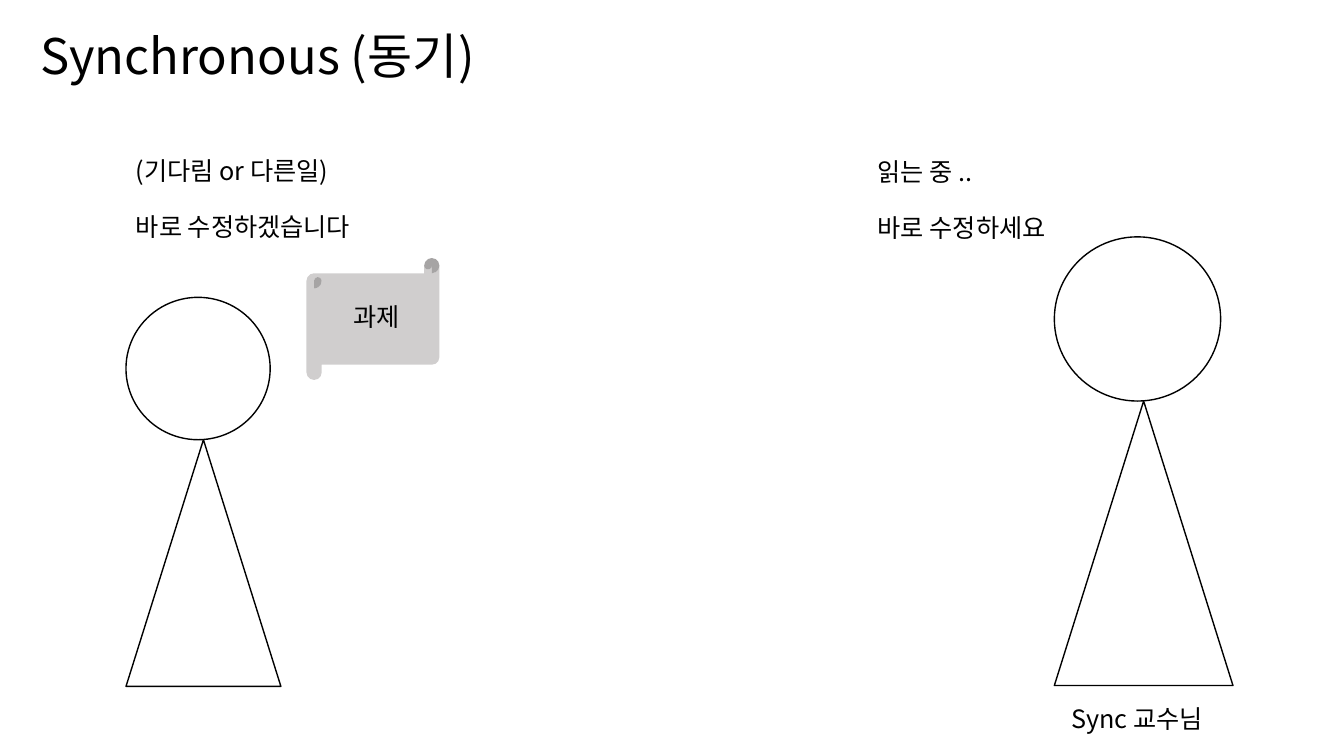
from pptx import Presentation
from pptx.dml.color import RGBColor
from pptx.enum.shapes import MSO_SHAPE as Shape
from pptx.enum.text import MSO_ANCHOR as Anchor, MSO_AUTO_SIZE as AutoSize, PP_ALIGN as Align
from pptx.oxml.ns import qn
from pptx.util import Pt

COLORS = {"ink": "000000", "paper": "FFFFFF", "scroll": "D0CECE"}


class Board:
    """Style and current slide."""

    font = "Noto Sans CJK KR"
    size = 18
    line_spacing = 0.84
    paragraph_gap = 21.8

    def __init__(self, slide):
        self.slide = slide

    def color(self, name):
        return RGBColor.from_string(COLORS[name])

    def set_lines(self, frame, lines, size, align=Align.LEFT):
        frame.text = "\n".join(lines)
        for index, paragraph in enumerate(frame.paragraphs):
            paragraph.alignment = align
            paragraph.line_spacing = self.line_spacing
            if index:
                paragraph.space_before = Pt(self.paragraph_gap)
            for run in paragraph.runs:
                run.font.size = Pt(size)
                run.font.name = self.font
                run.font.color.rgb = self.color("ink")
                # Hangul takes the East Asian typeface
                east_asian = run.font._element.makeelement(qn("a:ea"), {"typeface": self.font})
                run.font._element.find(qn("a:latin")).addnext(east_asian)

    def text(self, left, top, width, height, *lines, size=size):
        frame = self.slide.shapes.add_textbox(Pt(left), Pt(top), Pt(width), Pt(height)).text_frame
        frame.word_wrap = True
        frame.auto_size = AutoSize.SHAPE_TO_FIT_TEXT
        self.set_lines(frame, lines, size)

    def shape(self, shapes, kind, left, top, width, height, fill, line=None):
        shape = shapes.add_shape(kind, Pt(left), Pt(top), Pt(width), Pt(height))
        shape.shadow.inherit = False
        shape.fill.solid()
        shape.fill.fore_color.rgb = self.color(fill)
        if line:
            shape.line.color.rgb = self.color(line)
            shape.line.width = Pt(1)
        else:
            shape.line.fill.background()
        return shape

    def person(self, left, top, scale=1.0):
        """Grouped head and body, the body hanging right below the head."""
        figure = self.slide.shapes.add_group_shape().shapes
        head_height = 117.3 * scale
        self.shape(figure, Shape.OVAL, left, top, 118.8 * scale, head_height, "paper", "ink")
        self.shape(figure, Shape.ISOSCELES_TRIANGLE, left, top + head_height,
                   127.6 * scale, 203.2 * scale, "paper", "ink")

    def scroll(self, left, top, width, height, label):
        scroll = self.shape(self.slide.shapes, Shape.HORIZONTAL_SCROLL,
                            left, top, width, height, "scroll")
        scroll.text_frame.vertical_anchor = Anchor.MIDDLE
        self.set_lines(scroll.text_frame, [label], self.size, Align.CENTER)


def main():
    deck = Presentation()
    deck.slide_width, deck.slide_height = Pt(960), Pt(540)
    board = Board(deck.slides.add_slide(deck.slide_layouts[6]))

    # Professor and student
    board.person(753.1, 169.2)
    board.person(90, 212.4, scale=0.867)

    # What the professor says
    board.text(758.2, 502.6, 117.4, 28.8, "Sync 교수님")
    board.text(619.9, 111.6, 170.6, 72.7, "읽는 중 ..", "바로 수정하세요")

    # Assignment
    board.scroll(218.9, 184.3, 95, 87.1, "과제")

    # Title and what the student says
    board.text(21.6, 21.6, 859, 49.7, "Synchronous (동기)", size=35)
    board.text(90, 110.9, 205.9, 72.7, "(기다림 or 다른일)", "바로 수정하겠습니다")

    deck.save("out.pptx")


if __name__ == "__main__":
    main()
